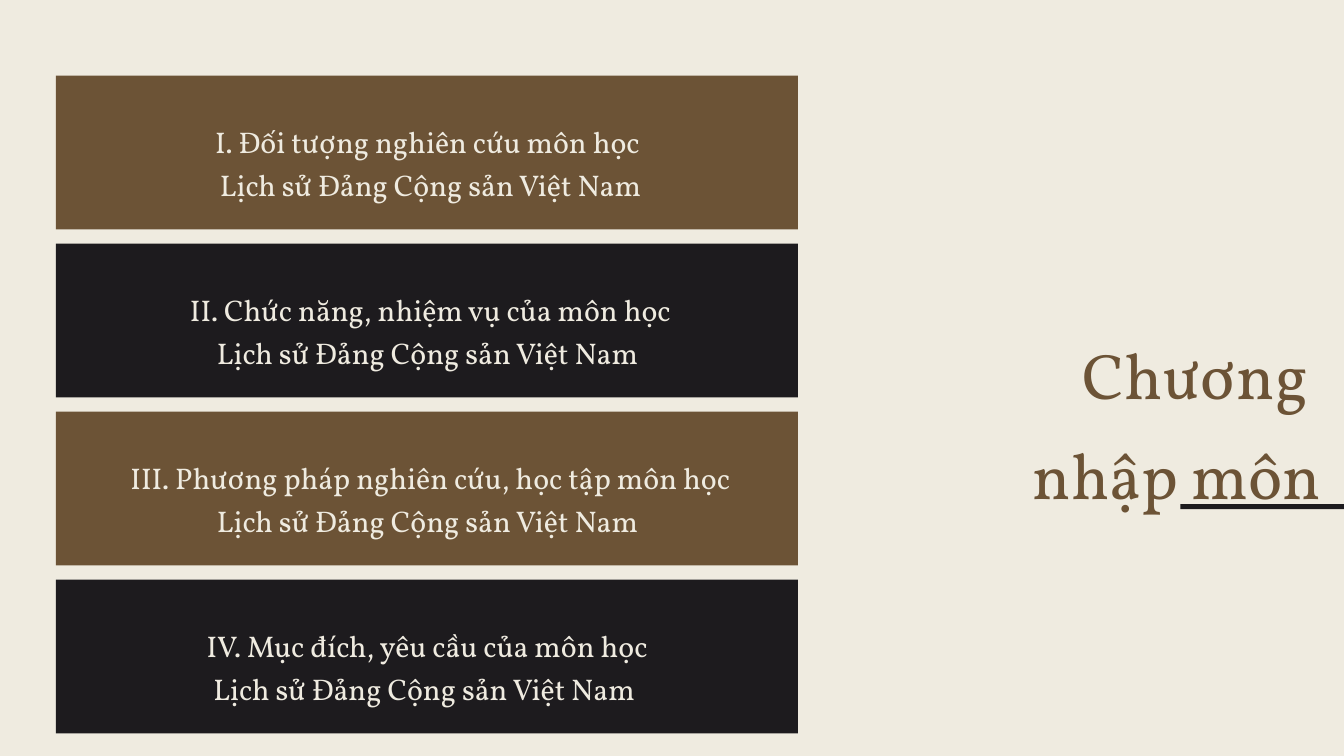
from pptx import Presentation, util as u
from pptx.dml.color import RGBColor
from pptx.enum import shapes, text

COLORS = {"paper": "EFEBE0", "brown": "6C5336", "ink": "1D1B1E"}
PALETTE = {name: RGBColor.from_string(value) for name, value in COLORS.items()}

deck = Presentation()
deck.slide_width, deck.slide_height = u.Inches(20), u.Inches(11.25)
COL, ROW = deck.slide_width / 24, deck.slide_height / 9
slide = deck.slides.add_slide(deck.slide_layouts[6])
slide.background.fill.solid()
slide.background.fill.fore_color.rgb = PALETTE["paper"]


def add_band(left, top, width, height, color):
    band = slide.shapes.add_shape(
        shapes.MSO_SHAPE.RECTANGLE,
        int(left * COL), int(top * ROW), int(width * COL), int(height * ROW))
    band.shadow.inherit = False
    band.fill.solid()
    band.fill.fore_color.rgb = PALETTE[color]
    band.line.fill.background()


def add_lines(left, top, width, height, lines, align, spacing, size, color):
    frame = slide.shapes.add_textbox(
        int(left * COL), int(top * ROW), int(width * COL), int(height * ROW)).text_frame
    frame_format = {"word_wrap": True, "auto_size": text.MSO_AUTO_SIZE.SHAPE_TO_FIT_TEXT,
                    "margin_left": 0, "margin_right": 0, "margin_top": 0, "margin_bottom": 0}
    for key, value in frame_format.items():
        setattr(frame, key, value)
    frame.text = "\n".join(lines)
    for line in frame.paragraphs:
        line.alignment, line.line_spacing = align, spacing
        for key, value in {"name": "Vollkorn", "size": u.Pt(size)}.items():
            setattr(line.runs[0].font, key, value)
        line.runs[0].font.color.rgb = PALETTE[color]


add_band(21.08, 6, 3.12, 0.06, "ink")

SUBJECT = "Lịch sử Đảng Cộng sản Việt Nam"
sections = [
    ("I. Đối tượng nghiên cứu môn học ", SUBJECT, "brown", 1.55),
    ("II. Chức năng, nhiệm vụ của môn học", SUBJECT + " ", "ink", 1.55),
    ("III. Phương pháp nghiên cứu, học tập môn học", SUBJECT + " ", "brown", 1.55),
    ("IV. Mục đích, yêu cầu của môn học", SUBJECT + " ", "ink", 1.49),
]
for index, (heading, subject, color, text_left) in enumerate(sections):
    add_band(1, 0.9 + 2 * index, 13.25, 1.83, color)
    add_lines(text_left, 1.39 + 2 * index, 12.28, 0.85, (heading, subject),
              text.PP_ALIGN.CENTER, 1.2, 32, "paper")

add_lines(14.77, 3.71, 8.82, 1.98, ("Chương ", "nhập môn"),
          text.PP_ALIGN.RIGHT, 1.3, 69, "brown")

deck.save("out.pptx")
